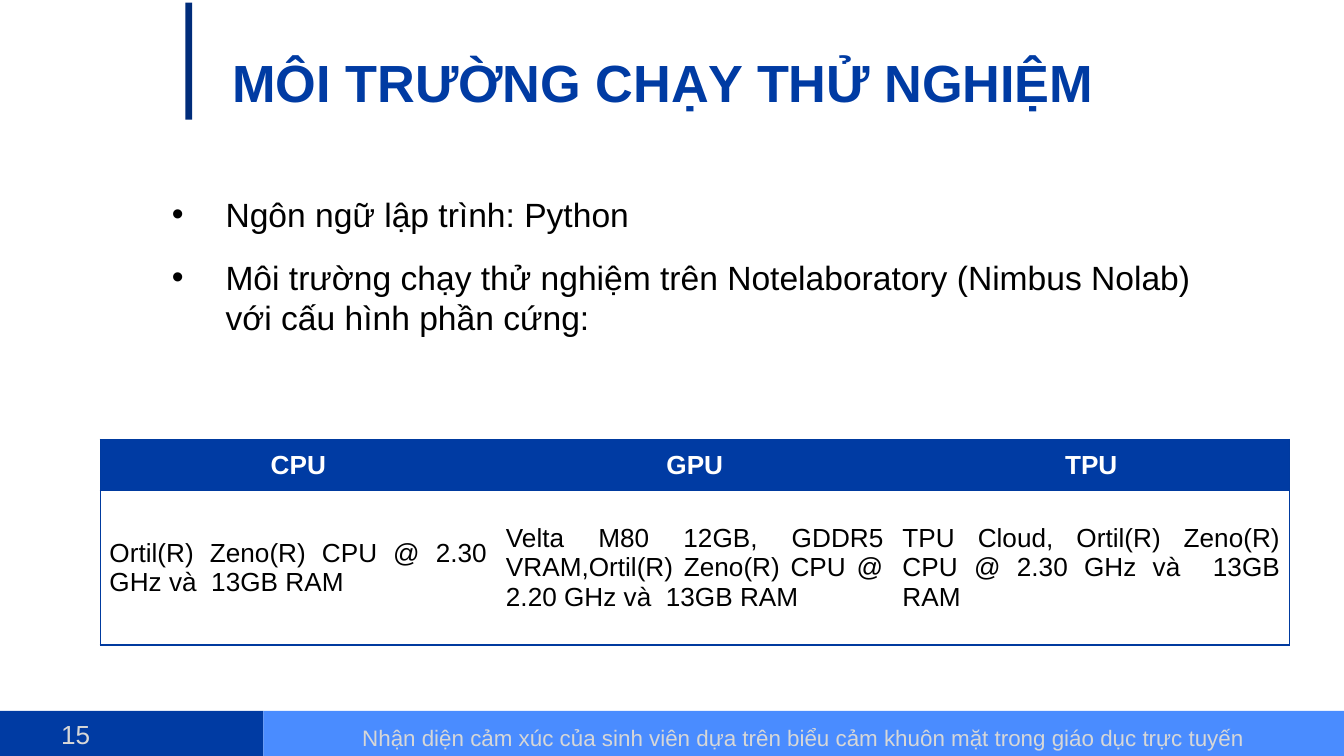
from lxml.etree import SubElement
from pptx import Presentation
from pptx.dml.color import RGBColor
from pptx.enum.shapes import MSO_SHAPE
from pptx.enum.text import MSO_ANCHOR, PP_ALIGN
from pptx.oxml.ns import qn
from pptx.util import Inches, Pt

BLUE = RGBColor(0x00, 0x3B, 0xA3)
DARK_BLUE = RGBColor(0x00, 0x2C, 0x7A)
LIGHT_BLUE = RGBColor(0x4A, 0x8C, 0xFF)
BORDER = RGBColor(0x00, 0x3A, 0x9F)
GREY = RGBColor(0xD7, 0xD7, 0xD7)
WHITE = RGBColor(0xFF, 0xFF, 0xFF)
BLACK = RGBColor(0x00, 0x00, 0x00)

WIDTH = Inches(10)
HEIGHT = WIDTH * 9 // 16
COLUMNS, ROWS = 100, 56.25
FOOTER_TOP, FOOTER_SPLIT = 52.9, 19.6


class SlideBuilder:
    """Holds the style and the current slide; places are in grid columns and rows."""

    font_name = "Arial"

    def __init__(self, presentation):
        layout = presentation.slide_layouts.get_by_name("Title Only")
        self.slide = presentation.slides.add_slide(layout)

    def area(self, left, top, width, height):
        return (round(left * WIDTH / COLUMNS), round(top * HEIGHT / ROWS),
                round(width * WIDTH / COLUMNS), round(height * HEIGHT / ROWS))

    def style(self, paragraph, size, color, bold=False, align=PP_ALIGN.LEFT):
        paragraph.alignment = align
        font = paragraph.font
        font.name, font.size, font.bold = self.font_name, Pt(size), bold
        font.color.rgb = color

    def title(self, text, *place):
        heading = self.slide.shapes.title
        heading.left, heading.top, heading.width, heading.height = self.area(*place)
        frame = heading.text_frame
        frame.text = text
        frame.vertical_anchor = MSO_ANCHOR.TOP
        frame.margin_left = frame.margin_right = Inches(0.1)
        frame.margin_top = frame.margin_bottom = Inches(0.1)
        self.style(frame.paragraphs[0], 28, BLUE, bold=True)

    def bar(self, color, *place):
        bar = self.slide.shapes.add_shape(MSO_SHAPE.RECTANGLE, *self.area(*place))
        bar.shadow.inherit = False
        bar.fill.solid()
        bar.fill.fore_color.rgb = color
        bar.line.fill.background()

    def text_frame(self, *place):
        frame = self.slide.shapes.add_textbox(*self.area(*place)).text_frame
        frame.word_wrap = True
        return frame

    def label(self, text, size, align, *place, line_spacing=1.0):
        frame = self.text_frame(*place)
        frame.text = text
        frame.paragraphs[0].line_spacing = line_spacing
        self.style(frame.paragraphs[0], size, GREY, align=align)

    def bullets(self, items, *place):
        frame = self.text_frame(*place)
        frame.text = "\n".join(items)
        for index, paragraph in enumerate(frame.paragraphs):
            paragraph.space_before = Pt(6 if index else 0)
            paragraph.space_after = Pt(6)
            properties = paragraph._p.get_or_add_pPr()
            properties.set("marL", str(Inches(0.4)))
            properties.set("indent", str(-Inches(0.4)))
            SubElement(properties, qn("a:buFont"), typeface=self.font_name)
            SubElement(properties, qn("a:buChar"), char="•")
            self.style(paragraph, 18, BLACK)

    def cell_borders(self, cell, visible_sides):
        properties = cell._tc.get_or_add_tcPr()
        for side in "LRTB":
            line = SubElement(properties, qn(f"a:ln{side}"), w=str(Pt(0.75)))
            if side in visible_sides:
                fill = SubElement(line, qn("a:solidFill"))
                SubElement(fill, qn("a:srgbClr"), val=str(BORDER))
            else:
                SubElement(line, qn("a:noFill"))

    def table(self, content, row_heights, *place):
        """Table with a filled header row and a border around each row."""
        table = self.slide.shapes.add_table(
            len(content), len(content[0]), *self.area(*place)).table
        table.horz_banding = False
        last = len(content[0]) - 1
        for row_index, (texts, height) in enumerate(zip(content, row_heights)):
            table.rows[row_index].height = round(height * HEIGHT / ROWS)
            for column, text in enumerate(texts):
                cell = table.cell(row_index, column)
                cell.text = text
                cell.vertical_anchor = MSO_ANCHOR.MIDDLE
                cell.margin_left = cell.margin_right = Inches(0.07)
                cell.margin_top = cell.margin_bottom = 0
                sides = "TB" + "L" * (column == 0) + "R" * (column == last)
                self.cell_borders(cell, sides)
                paragraph = cell.text_frame.paragraphs[0]
                if row_index == 0:
                    cell.fill.solid()
                    cell.fill.fore_color.rgb = BLUE
                    self.style(paragraph, 14, WHITE, True, PP_ALIGN.CENTER)
                else:
                    cell.fill.background()
                    self.style(paragraph, 14, BLACK, False, PP_ALIGN.JUSTIFY)


def main():
    presentation = Presentation()
    presentation.slide_width, presentation.slide_height = WIDTH, HEIGHT
    builder = SlideBuilder(presentation)

    footer_width = COLUMNS - FOOTER_SPLIT
    builder.bar(BLUE, 0, FOOTER_TOP, FOOTER_SPLIT, ROWS - FOOTER_TOP)
    builder.bar(LIGHT_BLUE, FOOTER_SPLIT, FOOTER_TOP, footer_width, ROWS - FOOTER_TOP)
    builder.label("15", 14, PP_ALIGN.RIGHT, 0, 53, 7.7, 3.4)
    builder.label(
        "Nhận diện cảm xúc của sinh viên dựa trên biểu cảm khuôn mặt trong giáo dục trực tuyến",
        12, PP_ALIGN.CENTER, FOOTER_SPLIT, 53, footer_width, 3.2, line_spacing=1.2)

    builder.title("MÔI TRƯỜNG CHẠY THỬ NGHIỆM", 16.3, 2.7, 74.4, 6.3)
    builder.bar(DARK_BLUE, 13.8, 0.2, 0.5, 8.7)

    builder.table(
        [("CPU", "GPU", "TPU"),
         ("Ortil(R) Zeno(R) CPU @ 2.30 GHz và  13GB RAM",
          "Velta M80 12GB, GDDR5 VRAM,Ortil(R) Zeno(R) CPU @ 2.20 GHz và  13GB RAM",
          "TPU Cloud, Ortil(R) Zeno(R) CPU @ 2.30 GHz và  13GB RAM")],
        (3.8, 11.5), 7.45, 32.7, 88.5, 15.3)

    builder.bullets(
        ["Ngôn ngữ lập trình: Python",
         "Môi trường chạy thử nghiệm trên Notelaboratory (Nimbus Nolab) "
         "với cấu hình phần cứng:"],
        11.8, 13.95, 78.8, 11.8)

    presentation.save("out.pptx")


if __name__ == "__main__":
    main()
